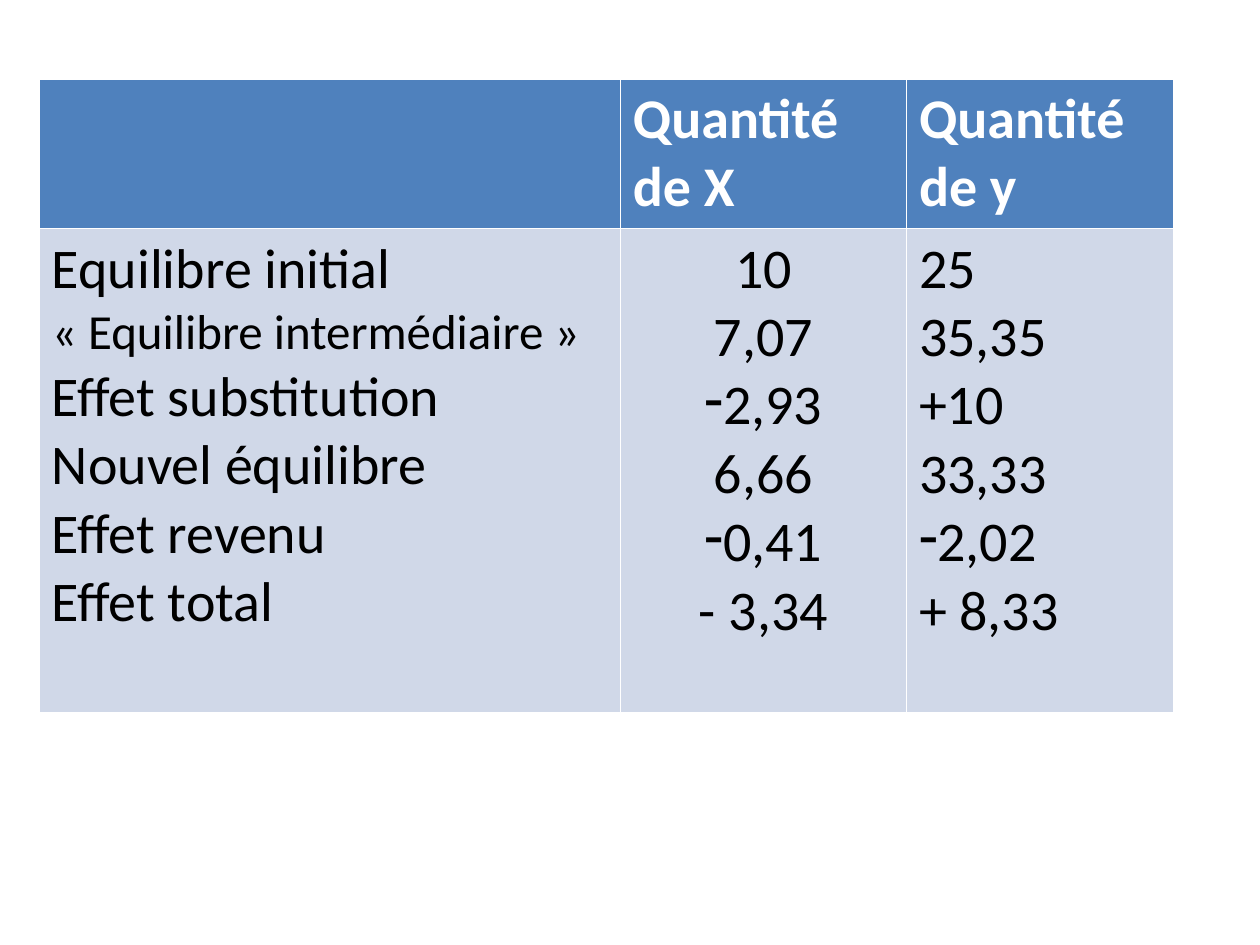
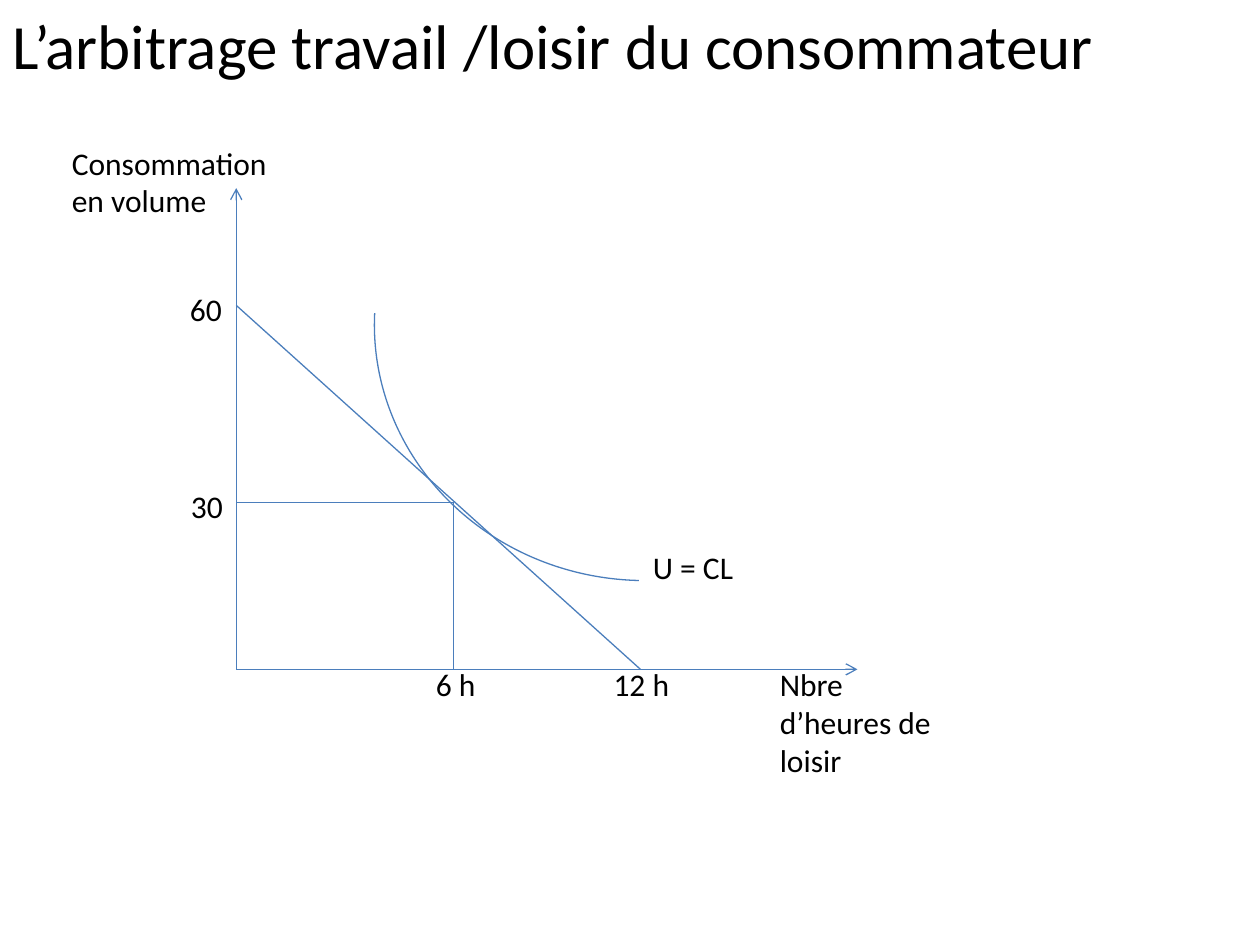
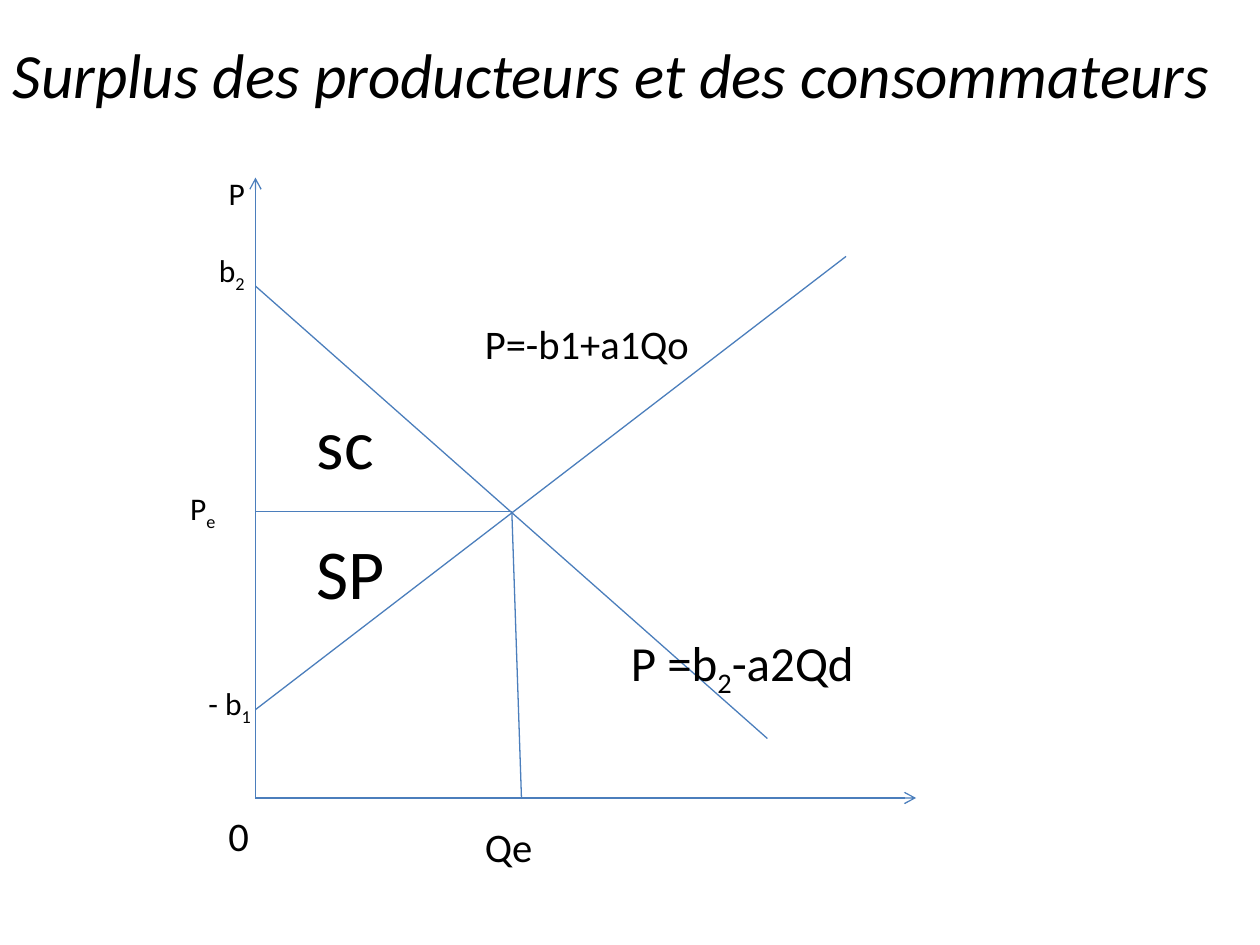
from dataclasses import dataclass

from lxml import etree
from pptx import Presentation
from pptx.dml.color import RGBColor
from pptx.enum.shapes import MSO_CONNECTOR as CONNECTOR, MSO_SHAPE as SHAPE
from pptx.enum.text import MSO_ANCHOR as ANCHOR, MSO_AUTO_SIZE as AUTO_SIZE, PP_ALIGN as ALIGN
from pptx.oxml.ns import qn
from pptx.util import Pt

FONT = "Calibri"
BLACK, WHITE = "000000", "FFFFFF"
LINE, HEADER, BAND = "4B7EBC", "4F81BD", "D0D8E8"
TITLE_ONLY, BLANK = 5, 6
SUBSCRIPT_SCALE = 0.67


@dataclass
class Label:
    """Text at x, y from the origin; "|" switches subscript on and off."""
    text: str
    x: float
    y: float
    width: float
    size: float = 18
    lines: int = 1


def color(value):
    return RGBColor.from_string(value)


def format_font(font, size, value=BLACK, bold=False, italic=False):
    font.name, font.size = FONT, Pt(size)
    font.bold, font.italic = bold, italic
    font.color.rgb = color(value)


def add_title(slide, box, text, anchor, italic=False):
    title = slide.shapes.title
    title.left, title.top, title.width, title.height = map(Pt, box)
    frame = title.text_frame
    frame.text = text
    frame.vertical_anchor = anchor
    frame.auto_size = AUTO_SIZE.NONE
    paragraph = frame.paragraphs[0]
    paragraph.alignment = ALIGN.LEFT
    format_font(paragraph.runs[0].font, 36, italic=italic)


def set_dash_bullet(paragraph):
    properties = paragraph._p.get_or_add_pPr()
    properties.set("marL", "0")
    properties.set("indent", "0")
    etree.SubElement(properties, qn("a:buChar")).set("char", "-")


def fill_cell(cell, lines, fill, ink, bold=False, alignment=ALIGN.LEFT):
    """Write (text, size, bulleted) lines into a cell."""
    cell.fill.solid()
    cell.fill.fore_color.rgb = color(fill)
    cell.text_frame.text = "\n".join(text for text, _, _ in lines)
    for paragraph, (_, size, bulleted) in zip(cell.text_frame.paragraphs, lines):
        paragraph.alignment = alignment
        if bulleted:
            set_dash_bullet(paragraph)
        for run in paragraph.runs:
            format_font(run.font, size, ink, bold)


def add_effects_table(slide, left, top):
    widths, heights = (332, 163.5, 152.5), (85.5, 276.5)
    headings = ("", "Quantité de X", "Quantité de y")
    columns = (
        [("Equilibre initial", 32, False), ("« Equilibre intermédiaire »", 28, False),
         ("Effet substitution", 32, False), ("Nouvel équilibre", 32, False),
         ("Effet revenu", 32, False), ("Effet total", 32, False)],
        [("10", 32, False), ("7,07", 32, False), ("2,93", 32, True),
         ("6,66", 32, False), ("0,41", 32, True), ("- 3,34", 32, False)],
        [("25", 32, False), ("35,35", 32, False), ("+10", 32, False),
         ("33,33", 32, False), ("2,02", 32, True), ("+ 8,33", 32, False)],
    )
    alignments = (ALIGN.LEFT, ALIGN.CENTER, ALIGN.LEFT)
    table = slide.shapes.add_table(2, 3, Pt(left), Pt(top),
                                   Pt(sum(widths)), Pt(sum(heights))).table
    for row, height in zip(table.rows, heights):
        row.height = Pt(height)
    for index, width in enumerate(widths):
        table.columns[index].width = Pt(width)
        fill_cell(table.cell(0, index), [(headings[index], 32, False)], HEADER, WHITE, bold=True)
        fill_cell(table.cell(1, index), columns[index], BAND, BLACK,
                  alignment=alignments[index])


def style_line(line):
    line.color.rgb = color(LINE)
    line.width = Pt(0.75)


def add_line(slide, origin, start, end, arrow=False):
    """Draw from start to end, both measured right and up from the origin."""
    left, base = origin
    connector = slide.shapes.add_connector(
        CONNECTOR.STRAIGHT, Pt(left + start[0]), Pt(base - start[1]),
        Pt(left + end[0]), Pt(base - end[1]))
    style_line(connector.line)
    etree.SubElement(connector._element.spPr, qn("a:effectLst"))
    if arrow:
        tail = etree.SubElement(connector.line._get_or_add_ln(), qn("a:tailEnd"))
        tail.set("type", "arrow")


def add_label(slide, origin, label):
    left, base = origin
    scale = SUBSCRIPT_SCALE if label.text.startswith("|") else 1
    height = label.lines * label.size * scale * 1.2 + 7.2
    box = slide.shapes.add_textbox(Pt(left + label.x), Pt(base - label.y),
                                   Pt(label.width), Pt(height))
    frame = box.text_frame
    frame.word_wrap = True
    frame.auto_size = AUTO_SIZE.SHAPE_TO_FIT_TEXT
    for index, part in enumerate(label.text.split("|")):
        if part:
            run = frame.paragraphs[0].add_run()
            run.text = part
            format_font(run.font, label.size)
            if index % 2:
                run._r.get_or_add_rPr().set("baseline", "-25000")


def add_plot(slide, box, lines, labels):
    """Draw axes along the left and bottom of the box, then lines and labels."""
    left, top, width, height = box
    origin = (left, top + height)
    for tip in ((0, height), (width, 0)):
        add_line(slide, origin, (0, 0), tip, arrow=True)
    for start, end in lines:
        add_line(slide, origin, start, end)
    for label in labels:
        add_label(slide, origin, label)


def add_indifference_curve(slide, left, top):
    curve = slide.shapes.add_shape(SHAPE.ARC, Pt(left), Pt(top), Pt(309.6), Pt(292.3))
    curve.adjustments[0], curve.adjustments[1] = 54.85, 109.47
    curve.shadow.inherit = False
    curve.fill.background()
    style_line(curve.line)


def build_effects_slide(presentation):
    slide = presentation.slides.add_slide(presentation.slide_layouts[BLANK])
    add_effects_table(slide, 22.5, 45)


def build_leisure_slide(presentation):
    slide = presentation.slides.add_slide(presentation.slide_layouts[TITLE_ONLY])
    add_title(slide, (0, 0, 720, 52), "L’arbitrage travail /loisir du consommateur", ANCHOR.TOP)
    left, top, width, height = box = (135, 107.5, 355, 275)
    choice = (124, 95.5)
    add_plot(slide, box, [
        ((0, 208), (231, 0)),
        ((0, choice[1]), choice),
        (choice, (choice[0], 0)),
    ], [
        Label("Consommation en volume", -101, 304, 135.5, lines=2),
        Label("60", -33.5, 220.5, 39),
        Label("30", -33, 108, 44),
        Label("6 h", 107, 6, 45),
        Label("12 h", 208.5, 6, 62),
        Label("Nbre d’heures de loisir", 303.5, 6, 101.5, lines=3),
        Label("U = CL", 231, 73, 68),
    ])
    add_indifference_curve(slide, left + 79, top - 68)


def build_surplus_slide(presentation):
    slide = presentation.slides.add_slide(presentation.slide_layouts[TITLE_ONLY])
    add_title(slide, (0, 0, 708.5, 84), "Surplus des producteurs et des consommateurs",
              ANCHOR.MIDDLE, italic=True)
    balance = (146.5, 163.5)
    add_plot(slide, (146, 101.5, 377.5, 354.5), [
        ((0, 50.5), (337.5, 309.5)),
        ((0, 292.5), (292.5, 34)),
        (balance, (152, 0)),
        (balance, (0, balance[1])),
    ], [
        Label("P", -22.5, 360, 26),
        Label("b|2", -28, 316, 31),
        Label("P|e", -44.5, 180, 40),
        Label("- b|1", -34, 68.5, 41),
        Label("sc", 28, 231, 130, 40),
        Label("SP", 28, 157, 130, 40),
        Label("|Qe", 124, 16.5, 130, 40),
        Label("|P=-b1+a1Qo", 124, 304, 152, 40),
        Label("P =b|2|-a2Qd", 207.5, 98, 232, 28),
        Label("|0", -22.5, 23, 28, 40),
    ])


def main():
    presentation = Presentation()
    presentation.slide_width, presentation.slide_height = Pt(720), Pt(540)
    build_effects_slide(presentation)
    build_leisure_slide(presentation)
    build_surplus_slide(presentation)
    presentation.save("out.pptx")


if __name__ == "__main__":
    main()
